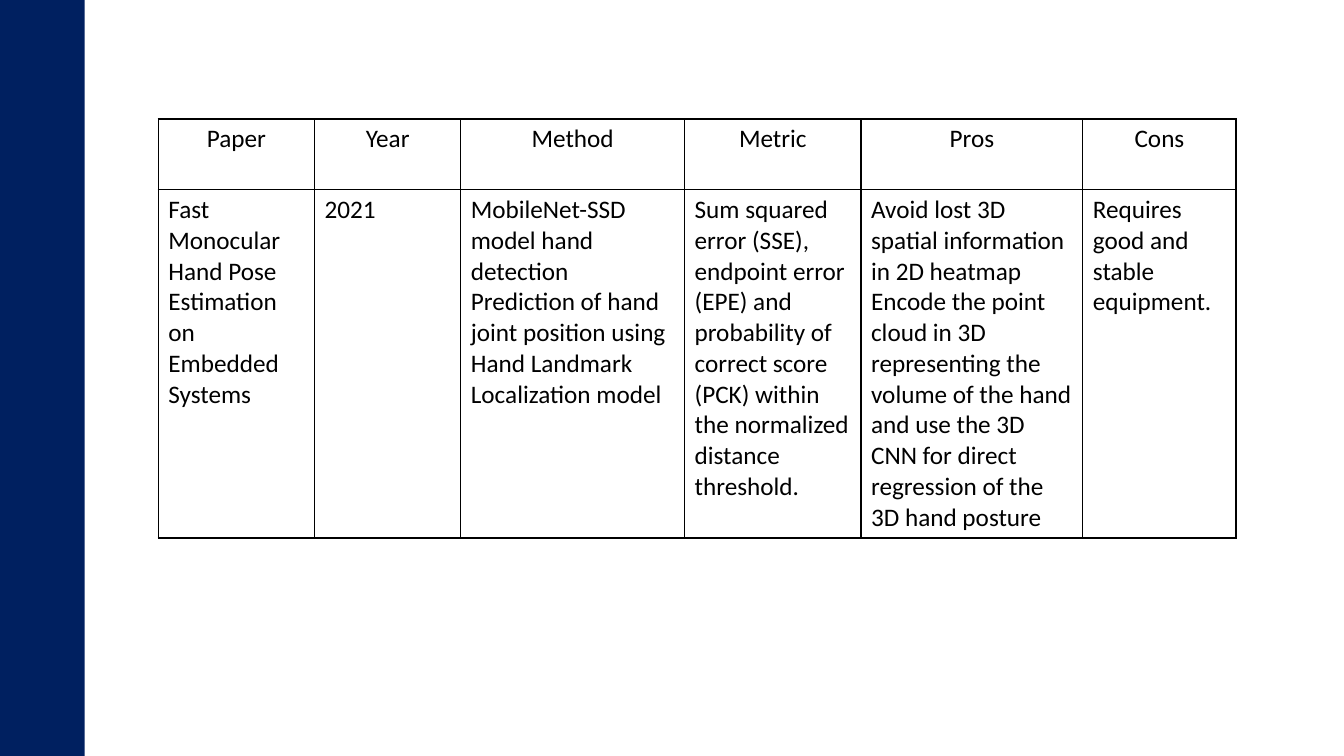
import pptx
import pptx.util
import pptx.dml.color
import pptx.enum.shapes
import pptx.enum.text
import pptx.oxml

COLORS = {"bar": "002060", "paper": "FFFFFF", "ink": "000000"}
WIDTH = pptx.util.Inches(13.33)
HEIGHT = pptx.util.Inches(7.5)
BAR_WIDTH = 0.84
TABLE_LEFT, TABLE_TOP = 1.57, 1.18
COLUMN_WIDTHS = [1.55, 1.45, 2.22, 1.75, 2.2, 1.52]
ROW_HEIGHTS = [0.7, 3.4]
HEADINGS = ["Paper", "Year", "Method", "Metric", "Pros", "Cons"]
STUDY = [
    "Fast Monocular Hand Pose Estimation on Embedded Systems",
    "2021",
    "MobileNet-SSD model hand detection Prediction of hand joint position using "
    "Hand Landmark Localization model",
    "Sum squared error (SSE), endpoint error (EPE) and probability of correct score "
    "(PCK) within the normalized distance threshold.",
    "Avoid lost 3D spatial information in 2D heatmap Encode the point cloud in 3D "
    "representing the volume of the hand and use the 3D CNN for direct regression "
    "of the 3D hand posture",
    "Requires good and stable equipment.",
]


def set_fill(target, color):
    target.fill.solid()
    target.fill.fore_color.rgb = pptx.dml.color.RGBColor.from_string(COLORS[color])


def write_text(frame, text, size=18, font="Calibri", color="ink", align="LEFT"):
    paragraph = frame.paragraphs[0]
    paragraph.alignment = getattr(pptx.enum.text.PP_ALIGN, align)
    run = paragraph.add_run()
    run.text = text
    run.font.size = pptx.util.Pt(size)
    run.font.name = font
    run.font.bold = False
    run.font.color.rgb = pptx.dml.color.RGBColor.from_string(COLORS[color])


def set_borders(cell, color="ink", width=1):
    properties = cell._tc.get_or_add_tcPr()
    for side in ("lnL", "lnR", "lnT", "lnB"):
        properties.append(pptx.oxml.parse_xml(
            f'<a:{side} xmlns:a="http://schemas.openxmlformats.org/drawingml/2006/main" '
            f'w="{pptx.util.Pt(width)}"><a:solidFill><a:srgbClr val="{COLORS[color]}"/>'
            f'</a:solidFill></a:{side}>'))


def add_side_bar(slide):
    bar = slide.shapes.add_shape(
        pptx.enum.shapes.MSO_SHAPE.RECTANGLE, 0, 0, pptx.util.Inches(BAR_WIDTH), HEIGHT)
    bar.shadow.inherit = False
    set_fill(bar, "bar")
    bar.line.fill.background()


def add_study_table(slide, rows):
    frame = slide.shapes.add_table(
        len(rows), len(COLUMN_WIDTHS),
        pptx.util.Inches(TABLE_LEFT), pptx.util.Inches(TABLE_TOP),
        pptx.util.Inches(sum(COLUMN_WIDTHS)), pptx.util.Inches(sum(ROW_HEIGHTS)))
    table = frame.table
    table.horz_banding = False
    for column, width in zip(table.columns, COLUMN_WIDTHS):
        column.width = pptx.util.Inches(width)
    for row, height, texts, align in zip(table.rows, ROW_HEIGHTS, rows, ("CENTER", "LEFT")):
        row.height = pptx.util.Inches(height)
        for cell, text in zip(row.cells, texts):
            set_borders(cell)
            set_fill(cell, "paper")
            write_text(cell.text_frame, text, align=align)


def main():
    presentation = pptx.Presentation()
    presentation.slide_width = WIDTH
    presentation.slide_height = HEIGHT
    slide = presentation.slides.add_slide(presentation.slide_layouts[6])
    add_side_bar(slide)
    add_study_table(slide, [HEADINGS, STUDY])
    presentation.save("out.pptx")


if __name__ == "__main__":
    main()
